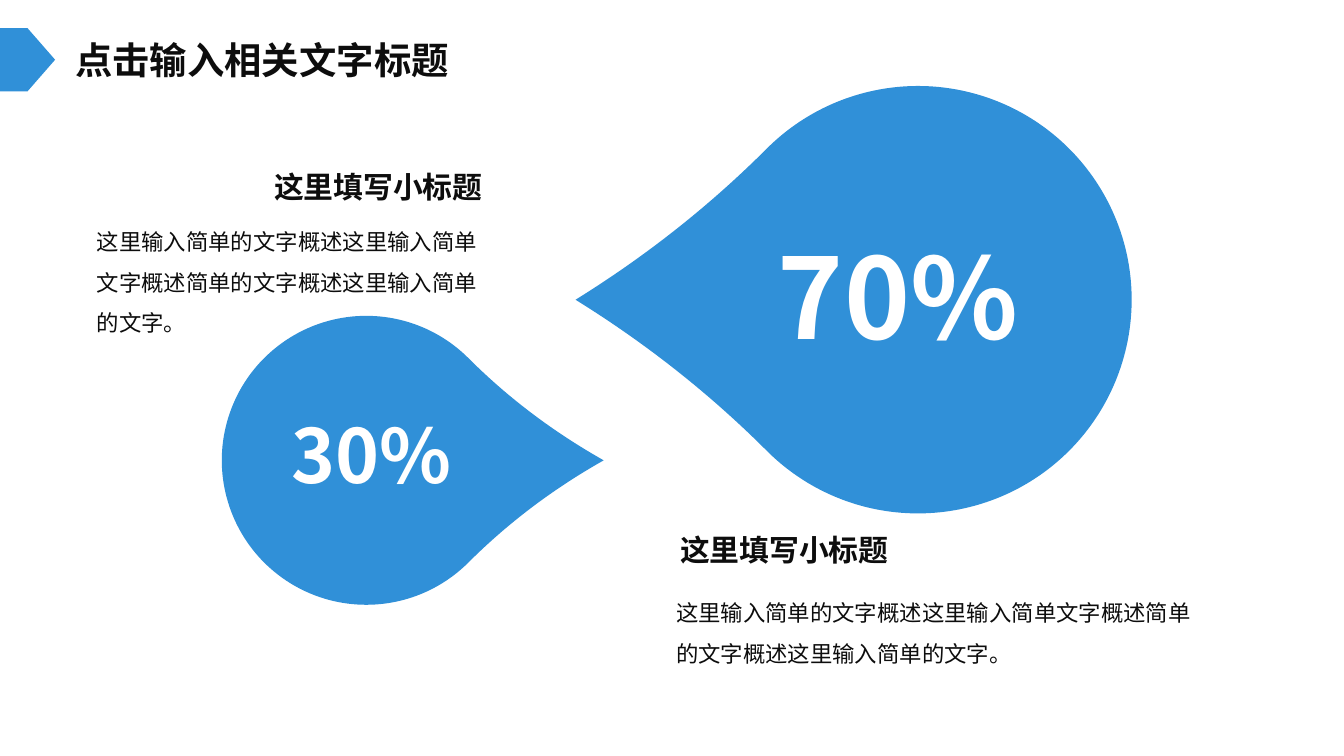
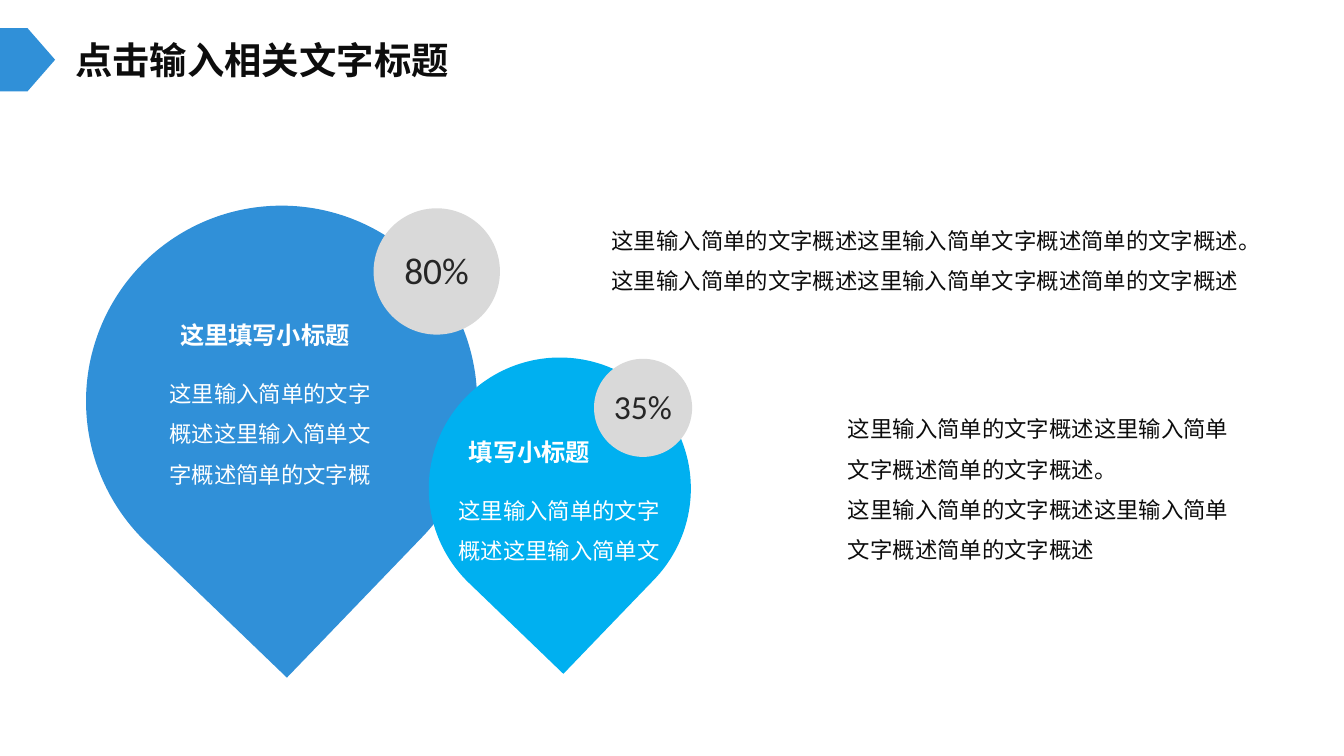
import pptx
import pptx.dml.color
import pptx.enum.shapes
import pptx.enum.text
import pptx.oxml.ns
import pptx.util
from lxml import etree

PX = 9144  # EMU: 100 px to the inch
BLUE, SKY, GREY, WHITE = "3090D8", "00B0F0", "D9D9D9", "FFFFFF"
INK, DARK = "0D0D0D", "262626"
HEAVY, PLAIN = "Noto Sans CJK SC", "Calibri"
SHAPES = pptx.enum.shapes.MSO_SHAPE
ALIGN = pptx.enum.text.PP_ALIGN

SUBTITLE = "这里填写小标题"
SUMMARY = "这里输入简单的文字概述这里输入简单文字概述简单的文字概述"
LONG_SUMMARY = SUMMARY + "这里输入简单的文字。"
PAIR = [SUMMARY + "。", SUMMARY]
DROP_LINES = ["这里输入简单的文字", "概述这里输入简单文", "字概述简单的文字概"]


def px(length):
    return pptx.util.Emu(length * PX)


def color(value):
    return pptx.dml.color.RGBColor.from_string(value)


class Deck:
    def __init__(self):
        self.deck = pptx.Presentation()
        self.deck.slide_width, self.deck.slide_height = px(1000), pptx.util.Inches(5.625)
        self.page = None

    def add_page(self, title):
        self.page = self.deck.slides.add_slide(self.deck.slide_layouts[6])
        self.shape(SHAPES.PENTAGON, 0, 21, 41, 47, BLUE)
        self.label(title, 46, 23, 301, 44, 20)

    def shape(self, kind, left, top, width, height, fill):
        shape = self.page.shapes.add_shape(kind, px(left), px(top), px(width), px(height))
        shape.shadow.inherit = False
        shape.fill.solid()
        shape.fill.fore_color.rgb = color(fill)
        shape.line.fill.background()
        return shape

    def circle(self, left, top, size, fill):
        self.shape(SHAPES.OVAL, left, top, size, size, fill)

    def drop(self, left, top, size, fill, rotation, point=1, flip=False):
        """Draw a teardrop; point is the reach of its tip."""
        shape = self.shape(SHAPES.TEAR, left, top, size, size, fill)
        shape.adjustments[0] = point
        shape.rotation = rotation
        if flip:
            shape.element.spPr.xfrm.set("flipH", "1")

    def box(self, left, top, width, height, wrap):
        frame = self.page.shapes.add_textbox(px(left), px(top), px(width), px(height)).text_frame
        frame.word_wrap = wrap
        frame.auto_size = pptx.enum.text.MSO_AUTO_SIZE.SHAPE_TO_FIT_TEXT
        if wrap:
            frame.margin_left = frame.margin_right = px(13)
            frame.margin_top = frame.margin_bottom = px(7)
        return frame

    def span(self, para, text, size, ink, font, bold=False):
        span = para.add_run()
        span.text = text
        span.font.size = pptx.util.Pt(size)
        span.font.bold = bold
        span.font.color.rgb = color(ink)
        span.font.name = font
        east_asian = etree.SubElement(span.font._element, pptx.oxml.ns.qn("a:ea"))
        east_asian.set("typeface", HEAVY)

    def label(self, text, left, top, width, height, size, ink=INK, font=HEAVY):
        """Write one unwrapped line, bold in the heavy font."""
        para = self.box(left, top, width, height, False).paragraphs[0]
        self.span(para, text, size, ink, font, font == HEAVY)

    def subtitle(self, text, left, top, width, size=16, ink=INK):
        para = self.box(left, top, width, 36, True).paragraphs[0]
        para.alignment = ALIGN.JUSTIFY
        para.line_spacing = pptx.util.Pt(16)
        self.span(para, text, size, ink, HEAVY, True)

    def body(self, lines, left, top, width, height, ink=INK):
        """Write 12 pt paragraphs, with a closing full stop in the heavy font."""
        frame = self.box(left, top, width, height, True)
        for index, line in enumerate(lines):
            para = frame.add_paragraph() if index else frame.paragraphs[0]
            para.line_spacing = 1.5
            self.span(para, line.rstrip("。"), 12, ink, PLAIN)
            if line.endswith("。"):
                self.span(para, "。", 12, ink, HEAVY)


def add_facing_drops(deck):
    deck.add_page("点击输入相关文字标题")
    deck.drop(524, 64, 318, BLUE, 315, 1.133, flip=True)
    deck.drop(165, 235, 215, BLUE, 45, 1.162)
    deck.label("70%", 569, 164, 202, 111, 60, WHITE)
    deck.label("30%", 207, 299, 142, 77, 40, WHITE)
    deck.body([LONG_SUMMARY], 59, 153, 313, 104)
    deck.subtitle(SUBTITLE, 191, 123, 185)
    deck.body([LONG_SUMMARY], 490, 429, 412, 70)
    deck.subtitle(SUBTITLE, 493, 393, 185)


def add_hanging_drops(deck):
    deck.add_page("点击输入相关文字标题")
    deck.drop(64, 153, 291, BLUE, 133.9)
    deck.drop(319, 266, 195, SKY, 133.9)
    deck.circle(278, 155, 94, GREY)
    deck.circle(442, 267, 73, GREY)
    deck.label("80%", 291, 179, 69, 44, 20, DARK, PLAIN)
    deck.label("35%", 447, 282, 64, 40, 18, DARK, PLAIN)
    deck.body(DROP_LINES, 113, 266, 188, 104, WHITE)
    deck.subtitle(SUBTITLE, 121, 231, 157, 13, WHITE)
    deck.body(DROP_LINES[:2], 328, 353, 188, 74, WHITE)
    deck.subtitle("填写小标题", 336, 318, 157, 13, WHITE)
    deck.body(PAIR, 442, 152, 522, 74)
    deck.body(PAIR, 618, 292, 310, 135)


def main():
    deck = Deck()
    add_facing_drops(deck)
    add_hanging_drops(deck)
    deck.deck.save("out.pptx")


if __name__ == "__main__":
    main()
